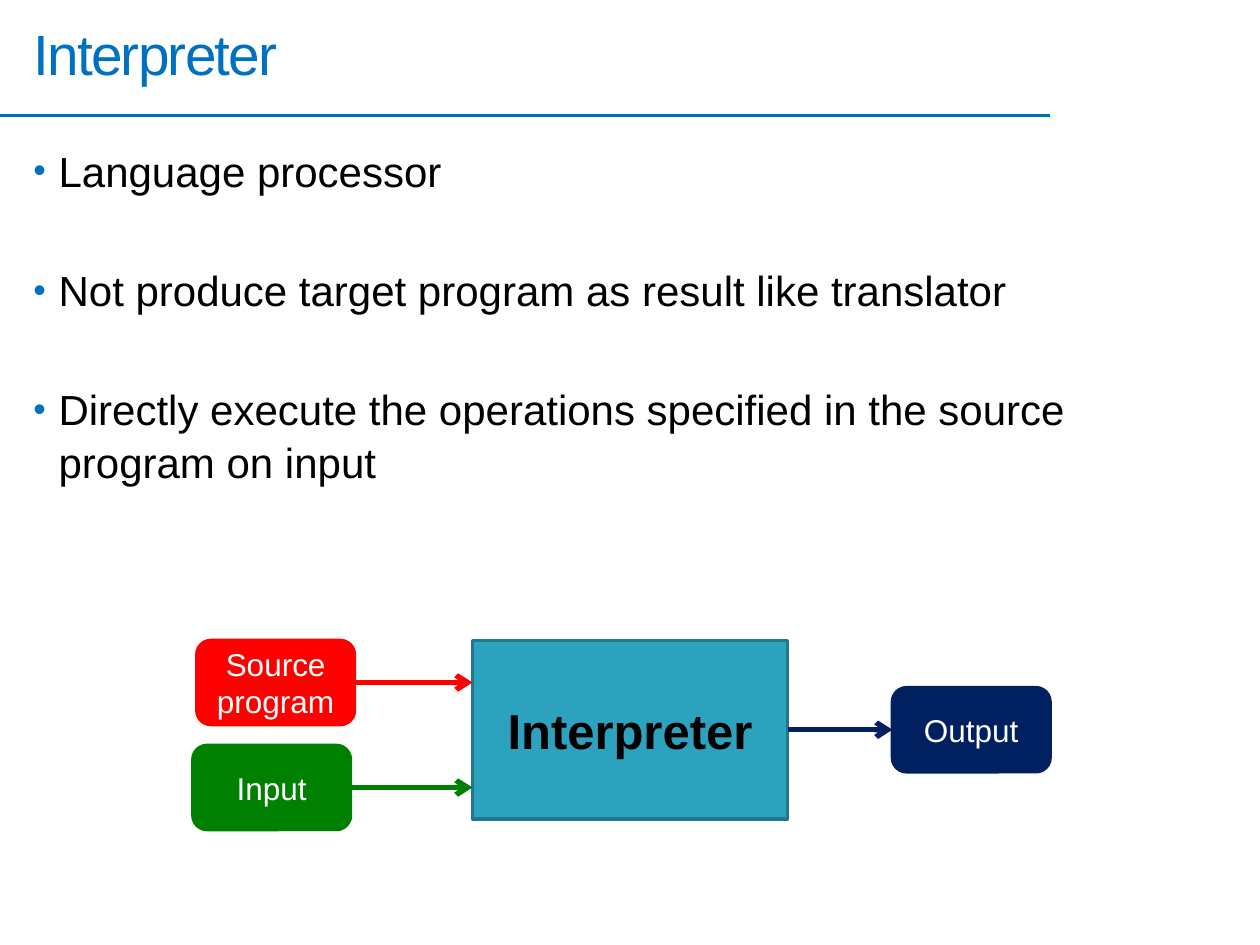
from dataclasses import dataclass

from lxml import etree
from pptx import Presentation
from pptx.dml.color import RGBColor
from pptx.enum.shapes import MSO_CONNECTOR, MSO_SHAPE
from pptx.enum.text import MSO_ANCHOR, PP_ALIGN
from pptx.oxml.ns import qn
from pptx.util import Pt

RECT, ROUND = MSO_SHAPE.RECTANGLE, MSO_SHAPE.ROUNDED_RECTANGLE
LINE = MSO_CONNECTOR.STRAIGHT
MID, TOP = MSO_ANCHOR.MIDDLE, MSO_ANCHOR.TOP
LEFT, CENTER = PP_ALIGN.LEFT, PP_ALIGN.CENTER
BLUE, RED, GREEN, NAVY = "0070C0", "FF0000", "008000", "002060"
BLACK, WHITE = "000000", "FFFFFF"
INDENT = 14.4


@dataclass
class Box:
    text: str
    x: float
    y: float
    fill: str
    edge: str
    w: float = 90
    h: float = 48
    kind: int = ROUND
    size: float = 18
    ink: str = WHITE
    bold: bool = False


def color(code: str) -> RGBColor:
    return RGBColor.from_string(code)


def add_dot(para) -> None:
    props = para._p.get_or_add_pPr()
    props.set("marL", str(Pt(INDENT)))
    props.set("indent", str(-Pt(INDENT)))
    tint = etree.SubElement(props, qn("a:buClr"))
    etree.SubElement(tint, qn("a:srgbClr"), val=BLUE)
    etree.SubElement(props, qn("a:buSzPct"), val="85000")
    etree.SubElement(props, qn("a:buFont"), typeface="Arial")
    etree.SubElement(props, qn("a:buChar"), char="•")


def write(shape, *lines: str, size: float, ink: str = BLACK, bold: bool = False,
          align=LEFT, anchor=TOP, dots: bool = False, gap: float = 0,
          lead: float = 1, track: float = 0) -> None:
    frame = shape.text_frame
    frame.word_wrap = True
    frame.vertical_anchor = anchor
    for i, line in enumerate(lines):
        para = frame.add_paragraph() if i else frame.paragraphs[0]
        if dots:
            add_dot(para)
        para.alignment = align
        para.line_spacing = lead
        if i:
            para.space_before = Pt(gap)
        run = para.add_run()
        run.text = line
        font = run.font
        font.name, font.size, font.bold = "Arial", Pt(size), bold
        font.color.rgb = color(ink)
        if track:
            run._r.get_or_add_rPr().set("spc", str(round(track * 100)))


def add_text(slide, x: float, y: float, w: float, h: float):
    return slide.shapes.add_textbox(Pt(x), Pt(y), Pt(w), Pt(h))


def add_box(slide, box: Box):
    shape = slide.shapes.add_shape(box.kind, Pt(box.x), Pt(box.y), Pt(box.w), Pt(box.h))
    shape.shadow.inherit = False
    shape.fill.solid()
    shape.fill.fore_color.rgb = color(box.fill)
    shape.line.color.rgb = color(box.edge)
    shape.line.width = Pt(2.08)
    write(shape, box.text, size=box.size, ink=box.ink, bold=box.bold,
          align=CENTER, anchor=MID)
    return shape


def add_line(slide, x1: float, x2: float, y: float, ink: str, width: float = 3,
             head: bool = True, start=None, end=None) -> None:
    link = slide.shapes.add_connector(LINE, Pt(x1), Pt(y), Pt(x2), Pt(y))
    link.line.color.rgb = color(ink)
    link.line.width = Pt(width)
    if head:
        etree.SubElement(link.line._get_or_add_ln(), qn("a:tailEnd"), type="arrow")
    etree.SubElement(link._element.spPr, qn("a:effectLst"))
    if start is not None:
        link.begin_connect(start, 3)
    if end is not None:
        link.end_connect(end, 1)


def main() -> None:
    deck = Presentation()
    deck.slide_width, deck.slide_height = Pt(720), Pt(540)
    slide = deck.slides.add_slide(deck.slide_layouts[6])

    # Title and rule
    add_line(slide, 0, 600, 66, BLUE, width=2.25, head=False)
    write(add_text(slide, 12, 6, 654, 48), "Interpreter",
          size=32.4, ink=BLUE, anchor=MID, track=-1)

    # Bullets
    write(add_text(slide, 12, 78, 696, 426),
          "Language processor",
          "Not produce target program as result like translator",
          "Directly execute the operations specified in the source program on input",
          size=24, dots=True, gap=38, lead=1.05)

    # Boxes
    core = Box("Interpreter", 270, 366, "2DA2BF", "21788D", w=180, h=102,
               kind=RECT, size=28, ink=BLACK, bold=True)
    source = Box("Source program", 112.5, 366, RED, RED)
    data = Box("Input", 110.25, 426, GREEN, GREEN)
    out = Box("Output", 510, 393, NAVY, NAVY)
    hub = add_box(slide, core)

    # Arrows into and out of the interpreter
    for box in (source, data):
        add_line(slide, box.x + box.w, core.x, box.y + box.h / 2, box.fill,
                 start=add_box(slide, box))
    add_line(slide, core.x + core.w, out.x, out.y + out.h / 2, out.fill,
             start=hub, end=add_box(slide, out))

    deck.save("out.pptx")


if __name__ == "__main__":
    main()
